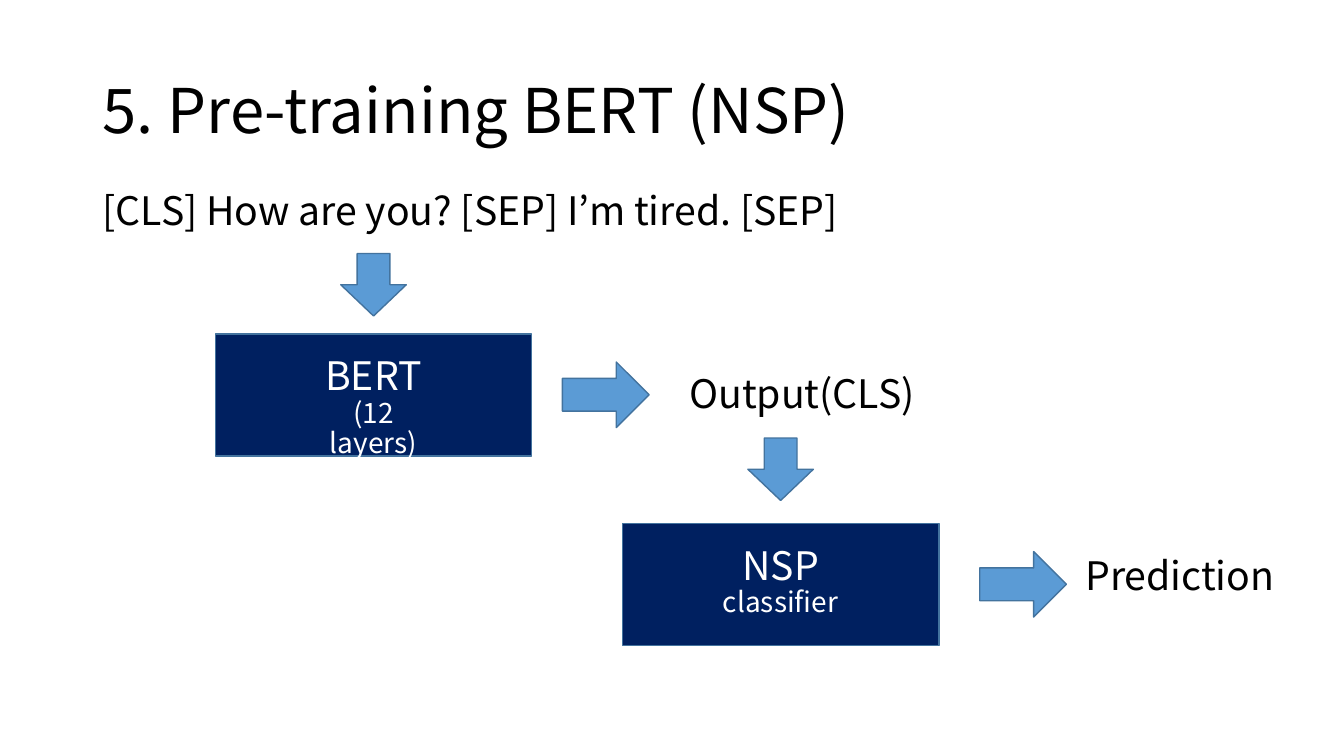
from dataclasses import dataclass

from pptx import Presentation
from pptx.dml.color import RGBColor
from pptx.enum import shapes, text
from pptx.util import Pt


@dataclass(frozen=True)
class Theme:
    font: str = "Noto Sans CJK KR"
    ink: RGBColor = RGBColor(0x00, 0x00, 0x00)
    paper: RGBColor = RGBColor(0xFF, 0xFF, 0xFF)
    block: RGBColor = RGBColor(0x00, 0x20, 0x60)
    arrow: RGBColor = RGBColor(0x5B, 0x9B, 0xD5)
    outline: RGBColor = RGBColor(0x43, 0x73, 0x9E)
    title_size: float = 44
    text_size: float = 28
    detail_size: float = 20


@dataclass(frozen=True)
class Caption:
    words: str
    left: float
    top: float
    width: float
    height: float


@dataclass(frozen=True)
class Stage:
    name: str
    detail: str
    center_x: float
    center_y: float


@dataclass(frozen=True)
class Flow:
    center_x: float
    center_y: float
    length: float
    rotation: float = 0


THEME = Theme()
BLOCK_WIDTH, BLOCK_HEIGHT = 226, 87
LABEL_WIDTH, LABEL_HEIGHT, LABEL_DROP = 105.8, 78.5, 12.5
ARROW_BREADTH = 46.8
DOWN_LENGTH, RIGHT_LENGTH = 44.6, 61.9

CAPTIONS = [
    Caption("[CLS] How are you? [SEP] I’m tired. [SEP]", 66.2, 133.2, 556.6, 51.8),
    Caption("Output(CLS)", 485.3, 264.2, 252.7, 41),
    Caption("Prediction", 768.2, 393.8, 182.2, 72),
]
STAGES = [
    Stage("BERT ", "(12 layers)", 266.8, 282.2),
    Stage("NSP ", "classifier", 557.6, 417.6),
]
FLOWS = [
    Flow(266.8, 203.4, DOWN_LENGTH, 90),
    Flow(432.7, 282, RIGHT_LENGTH),
    Flow(557.6, 335.2, DOWN_LENGTH, 90),
    Flow(730.8, 417.4, RIGHT_LENGTH),
]


def format_run(run, size: float, color: RGBColor) -> None:
    run.font.name = THEME.font
    run.font.size = Pt(size)
    run.font.color.rgb = color


def set_frame(frame, words: str, size: float, color: RGBColor, space_before: float = 10):
    frame.word_wrap = True
    frame.auto_size = text.MSO_AUTO_SIZE.NONE
    frame.text = words
    paragraph = frame.paragraphs[0]
    paragraph.line_spacing = 0.9
    paragraph.space_before = Pt(space_before)
    paragraph.alignment = text.PP_ALIGN.LEFT
    format_run(paragraph.runs[0], size, color)
    return paragraph


def add_centered(target, preset, center_x: float, center_y: float,
                 width: float, height: float, fill: RGBColor):
    body = target.add_shape(preset, Pt(center_x - width / 2), Pt(center_y - height / 2),
                            Pt(width), Pt(height))
    body.shadow.inherit = False
    body.fill.solid()
    body.fill.fore_color.rgb = fill
    body.line.color.rgb = THEME.outline
    body.line.width = Pt(1)
    return body


def add_title(slide, words: str) -> None:
    title = slide.shapes.title
    title.left, title.top, title.width, title.height = Pt(66.2), Pt(28.8), Pt(983.5), Pt(104.4)
    set_frame(title.text_frame, words, THEME.title_size, THEME.ink, space_before=0)
    title.text_frame.vertical_anchor = text.MSO_ANCHOR.MIDDLE


def add_caption(slide, caption: Caption) -> None:
    box = slide.shapes.add_textbox(Pt(caption.left), Pt(caption.top),
                                   Pt(caption.width), Pt(caption.height))
    set_frame(box.text_frame, caption.words, THEME.text_size, THEME.ink)


def add_stage(slide, stage: Stage) -> None:
    members = slide.shapes.add_group_shape().shapes
    add_centered(members, shapes.MSO_SHAPE.RECTANGLE, stage.center_x, stage.center_y,
                 BLOCK_WIDTH, BLOCK_HEIGHT, THEME.block)
    label = members.add_textbox(Pt(stage.center_x - LABEL_WIDTH / 2),
                                Pt(stage.center_y - BLOCK_HEIGHT / 2 + LABEL_DROP),
                                Pt(LABEL_WIDTH), Pt(LABEL_HEIGHT))
    paragraph = set_frame(label.text_frame, stage.name, THEME.text_size, THEME.paper)
    paragraph.alignment = text.PP_ALIGN.CENTER
    detail = paragraph.add_run()
    detail.text = stage.detail
    format_run(detail, THEME.detail_size, THEME.paper)


def add_flow(slide, flow: Flow) -> None:
    arrow = add_centered(slide.shapes, shapes.MSO_SHAPE.RIGHT_ARROW, flow.center_x,
                         flow.center_y, flow.length, ARROW_BREADTH, THEME.arrow)
    arrow.rotation = flow.rotation


def main() -> None:
    deck = Presentation()
    deck.slide_width, deck.slide_height = Pt(960), Pt(540)
    slide = deck.slides.add_slide(deck.slide_layouts.get_by_name("Title Only"))
    slide.background.fill.solid()
    slide.background.fill.fore_color.rgb = THEME.paper
    add_title(slide, "5. Pre-training BERT (NSP)")
    for caption in CAPTIONS:
        add_caption(slide, caption)
    for stage in STAGES:
        add_stage(slide, stage)
    for flow in FLOWS:
        add_flow(slide, flow)
    deck.save("out.pptx")


if __name__ == "__main__":
    main()
